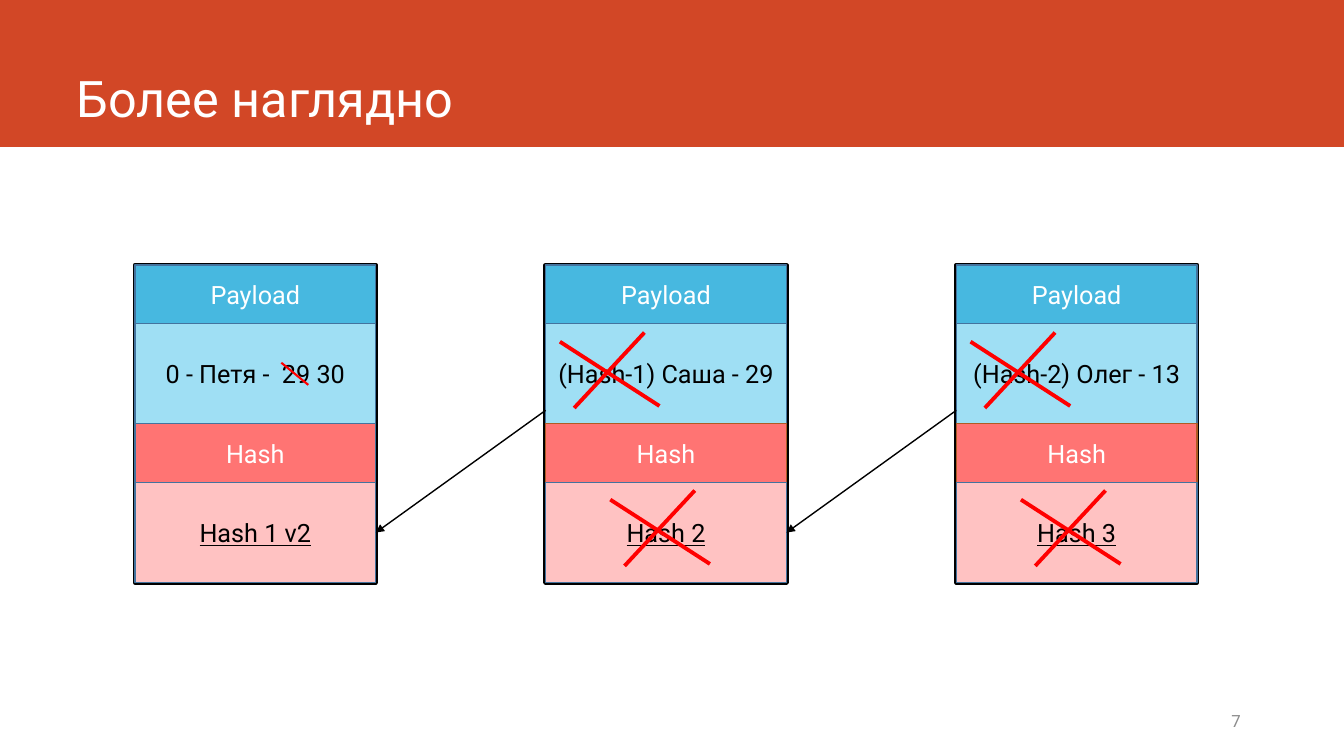
from dataclasses import dataclass

from lxml import etree
from pptx import Presentation
from pptx.dml.color import RGBColor
from pptx.enum.shapes import MSO_CONNECTOR, MSO_SHAPE
from pptx.enum.text import MSO_ANCHOR, MSO_AUTO_SIZE, PP_ALIGN
from pptx.oxml.ns import qn
from pptx.util import Cm, Pt

RECT = MSO_SHAPE.RECTANGLE
STRAIGHT = MSO_CONNECTOR.STRAIGHT
LEFT, CENTER, RIGHT = PP_ALIGN.LEFT, PP_ALIGN.CENTER, PP_ALIGN.RIGHT
MIDDLE, BOTTOM = MSO_ANCHOR.MIDDLE, MSO_ANCHOR.BOTTOM
RIGHT_SIDE = 3


@dataclass(frozen=True)
class Theme:
    font: str = "Roboto"
    title_size: int = 36
    body_size: int = 18
    number_size: int = 12
    banner: str = "D24726"
    white: str = "FFFFFF"
    black: str = "000000"
    gray: str = "8C8C8C"
    payload_head: str = "47B8E0"
    payload_body: str = "9FDFF4"
    hash_head: str = "FF7473"
    hash_body: str = "FFC2C2"
    border: str = "43739E"
    hash_border: str = "AF5C24"
    cross: str = "FF0000"


theme = Theme()


def write(shape, text, size, color, align, anchor=MIDDLE, underline=None):
    tf = shape.text_frame
    tf.word_wrap = True
    tf.auto_size = MSO_AUTO_SIZE.NONE
    tf.vertical_anchor = anchor
    p = tf.paragraphs[0]
    p.alignment = align
    r = p.add_run()
    r.text = text
    r.font.name = theme.font
    r.font.size = Pt(size)
    r.font.color.rgb = RGBColor.from_string(color)
    r.font.underline = underline


def add_line(x1, y1, x2, y2, color, width):
    line = slide.shapes.add_connector(STRAIGHT, Cm(x1), Cm(y1), Cm(x2), Cm(y2))
    line.line.color.rgb = RGBColor.from_string(color)
    line.line.width = Pt(width)
    etree.SubElement(line._element.spPr, qn("a:effectLst"))
    return line


prs = Presentation()
prs.slide_width, prs.slide_height = Cm(33.87), Cm(19.05)
slide = prs.slides.add_slide(prs.slide_layouts[5])

# Banner behind the title
banner = slide.shapes.add_shape(RECT, 0, 0, prs.slide_width, Cm(3.7))
banner.shadow.inherit = False
banner.fill.solid()
banner.fill.fore_color.rgb = RGBColor.from_string(theme.banner)
banner.line.fill.background()
slide.shapes._spTree.insert(2, banner._element)

title = slide.shapes.title
title.left, title.top, title.width, title.height = Cm(1.68), Cm(0), Cm(29.87), Cm(3.35)
write(title, "Более наглядно", theme.title_size, theme.white, LEFT, BOTTOM)

number = slide.shapes.add_textbox(Cm(22.43), Cm(17.65), Cm(9.09), Cm(1.02))
write(number, "7", theme.number_size, theme.gray, RIGHT)

# Chain of blocks
FIRST_LEFT, PITCH, BLOCK_TOP, BLOCK_WIDTH = 3.4, 10.35, 6.68, 6.07
HEAD_HEIGHT, BODY_HEIGHT = 1.48, 2.52
BLOCK_HEIGHT = 2 * (HEAD_HEIGHT + BODY_HEIGHT)

blocks = [
    ("0 - Петя -  29 30", "Hash 1 v2", theme.border),
    ("(Hash-1) Саша - 29", "Hash 2", theme.hash_border),
    ("(Hash-2) Олег - 13", "Hash 3", theme.hash_border),
]
lefts = [FIRST_LEFT + i * PITCH for i in range(len(blocks))]
hash_cells = []

for left, (payload, hash_text, hash_border) in zip(lefts, blocks):
    frame = slide.shapes.add_shape(RECT, Cm(left), Cm(BLOCK_TOP), Cm(BLOCK_WIDTH), Cm(BLOCK_HEIGHT))
    frame.shadow.inherit = False
    frame.fill.solid()
    frame.fill.fore_color.rgb = RGBColor.from_string(theme.white)
    frame.line.color.rgb = RGBColor.from_string(theme.black)
    frame.line.width = Pt(3)

    rows = [
        ("Payload", HEAD_HEIGHT, theme.payload_head, theme.border, theme.white, None),
        (payload, BODY_HEIGHT, theme.payload_body, theme.border, theme.black, None),
        ("Hash", HEAD_HEIGHT, theme.hash_head, hash_border, theme.white, None),
        (hash_text, BODY_HEIGHT, theme.hash_body, theme.border, theme.black, True),
    ]
    top = BLOCK_TOP
    for text, height, fill, border, color, underline in rows:
        cell = slide.shapes.add_shape(RECT, Cm(left), Cm(top), Cm(BLOCK_WIDTH), Cm(height))
        cell.shadow.inherit = False
        cell.fill.solid()
        cell.fill.fore_color.rgb = RGBColor.from_string(fill)
        cell.line.color.rgb = RGBColor.from_string(border)
        cell.line.width = Pt(1)
        write(cell, text, theme.body_size, color, CENTER, underline=underline)
        top += height
    hash_cells.append(cell)

# Each block points back to the hash of the previous one
for left, previous_hash in zip(lefts[1:], hash_cells):
    arrow = add_line(left, 10.34, left - PITCH + BLOCK_WIDTH, 13.42, theme.black, 1)
    arrow.end_connect(previous_hash, RIGHT_SIDE)
    etree.SubElement(arrow.line._get_or_add_ln(), qn("a:tailEnd"), type="triangle")

# Crosses over the hashes that no longer match
CROSS_STROKES = [(0, 0.23, 2.51, 1.85), (2.13, 0, 0.36, 1.9)]
CROSS_OFFSETS = [(0.36, 8.38), (1.63, 12.36)]
for left in lefts[1:]:
    for dx, y in CROSS_OFFSETS:
        x = left + dx
        for x1, y1, x2, y2 in CROSS_STROKES:
            add_line(x + x1, y + y1, x + x2, y + y2, theme.cross, 2.75)

# Strike through the replaced value
add_line(7.09, 9.14, 7.77, 9.7, theme.cross, 1.5)

prs.save("out.pptx")
